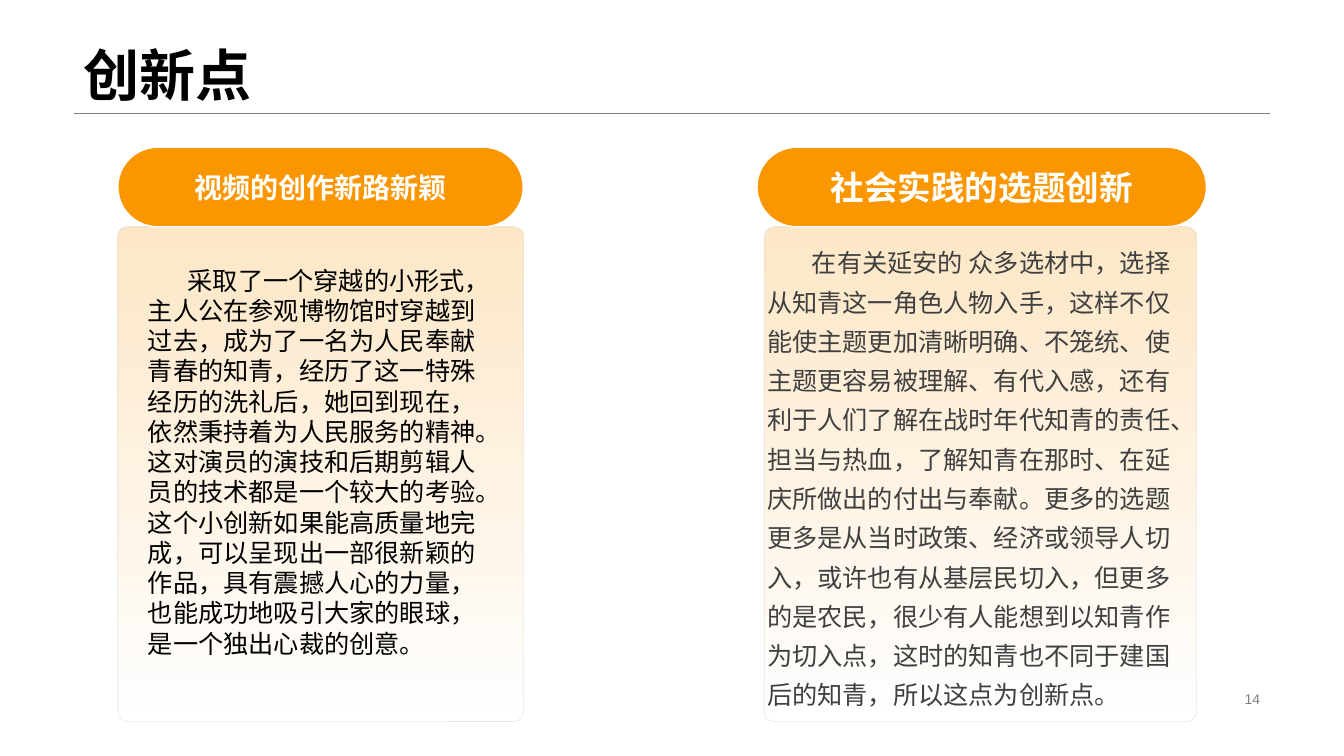
from lxml import etree
from pptx import Presentation
from pptx.dml.color import RGBColor
from pptx.enum.shapes import MSO_CONNECTOR, MSO_SHAPE
from pptx.enum.text import MSO_ANCHOR, PP_ALIGN
from pptx.oxml.ns import qn
from pptx.util import Pt

ROUND = MSO_SHAPE.ROUNDED_RECTANGLE
STRAIGHT = MSO_CONNECTOR.STRAIGHT
LEFT, CENTER, RIGHT = PP_ALIGN.LEFT, PP_ALIGN.CENTER, PP_ALIGN.RIGHT
TOP, MIDDLE, BOTTOM = MSO_ANCHOR.TOP, MSO_ANCHOR.MIDDLE, MSO_ANCHOR.BOTTOM

LATIN, CJK = "Arial", "Noto Sans CJK SC"
COLORS = {
    "accent": "FA9600",
    "white": "FFFFFF",
    "black": "000000",
    "body": "404040",
    "gray": "808080",
    "border": "D9D9D9",
}

# Shared vertical layout of the two columns
HEADER_TOP, HEADER_H = 105.2, 56.8
PANEL_TOP, PANEL_H = 162, 353.5

VIDEO_TEXT = (
    "采取了一个穿越的小形式，主人公在参观博物馆时穿越到过去，成为了一名为人民奉献青春的知青，"
    "经历了这一特殊经历的洗礼后，她回到现在，依然秉持着为人民服务的精神。"
    "这对演员的演技和后期剪辑人员的技术都是一个较大的考验。"
    "这个小创新如果能高质量地完成，可以呈现出一部很新颖的作品，具有震撼人心的力量，"
    "也能成功地吸引大家的眼球，是一个独出心裁的创意。"
)
TOPIC_TEXT = (
    "在有关延安的 众多选材中，选择从知青这一角色人物入手，这样不仅能使主题更加清晰明确、不笼统、"
    "使主题更容易被理解、有代入感，还有利于人们了解在战时年代知青的责任、担当与热血，"
    "了解知青在那时、在延庆所做出的付出与奉献。"
    "更多的选题更多是从当时政策、经济或领导人切入，或许也有从基层民切入，但更多的是农民，"
    "很少有人能想到以知青作为切入点，这时的知青也不同于建国后的知青，所以这点为创新点。"
)


def rgb(name):
    return RGBColor.from_string(COLORS[name])


def write(sp, text, size, color, font=LATIN, bold=False, align=LEFT, anchor=TOP,
          wrap=True, spacing=None, indent=0, inset=None):
    tf = sp.text_frame
    tf.word_wrap = wrap
    tf.vertical_anchor = anchor
    if inset is not None:
        tf.margin_left = tf.margin_right = tf.margin_top = tf.margin_bottom = Pt(inset)
    p = tf.paragraphs[0]
    p.alignment = align
    if spacing:
        p.line_spacing = spacing
    if indent:
        p._p.get_or_add_pPr().set("indent", str(Pt(indent)))
    r = p.add_run()
    r.text = text
    r.font.size = Pt(size)
    r.font.bold = bold
    r.font.name = font
    r.font.color.rgb = rgb(color)
    etree.SubElement(r._r.get_or_add_rPr(), qn("a:ea"), typeface=CJK)


def add_text(s, x, y, w, h, text, size, color, **style):
    sp = s.shapes.add_textbox(Pt(x), Pt(y), Pt(w), Pt(h))
    write(sp, text, size, color, **style)


def add_round(s, x, y, w, h, radius, line, line_width):
    sp = s.shapes.add_shape(ROUND, Pt(x), Pt(y), Pt(w), Pt(h))
    sp.adjustments[0] = radius
    sp.shadow.inherit = False
    sp.line.color.rgb = rgb(line)
    sp.line.width = Pt(line_width)
    return sp


def add_panel(s, x, w):
    """Body panel whose accent tint fades out downwards."""
    sp = add_round(s, x, PANEL_TOP, w, PANEL_H, 0.024, "border", 0.25)
    sp.fill.gradient()
    sp.fill.gradient_angle = 270
    for stop, opacity in zip(sp.fill.gradient_stops, (23, 0)):
        stop.color.rgb = rgb("accent")
    for clr, opacity in zip(sp._element.spPr.iterfind(".//" + qn("a:gs") + "/*"), (23, 0)):
        etree.SubElement(clr, qn("a:alpha"), val=str(opacity * 1000))
    return sp


def add_header(s, x, w, text, size):
    sp = add_round(s, x, HEADER_TOP, w, HEADER_H, 0.5, "white", 1)
    sp.fill.solid()
    sp.fill.fore_color.rgb = rgb("accent")
    write(sp, text, size, "white", bold=True, align=CENTER, anchor=MIDDLE, wrap=False)


def add_rule(s, x1, x2, y):
    line = s.shapes.add_connector(STRAIGHT, Pt(x1), Pt(y), Pt(x2), Pt(y))
    line.line.color.rgb = rgb("gray")
    line.line.width = Pt(0.25)
    etree.SubElement(line._element.spPr, qn("a:effectLst"))


def main():
    prs = Presentation()
    prs.slide_width, prs.slide_height = Pt(960), Pt(540)
    s = prs.slides.add_slide(prs.slide_layouts[6])

    # Title, rule and page number
    add_rule(s, 52.6, 907.2, 81)
    add_text(s, 52.6, 0, 854.6, 81, "创新点", 40, "black",
             bold=True, anchor=BOTTOM, spacing=0.9)
    add_text(s, 678.2, 491, 229, 16.6, "14", 10, "gray", align=RIGHT, anchor=MIDDLE)

    # Left column: the video
    add_panel(s, 84.2, 289.6)
    add_header(s, 84.2, 289.6, "视频的创作新路新颖", 20)
    add_text(s, 98.6, 185.8, 261.4, 290.9, VIDEO_TEXT, 18, "black",
             font=CJK, indent=28.5)

    # Right column: the topic
    panel = add_panel(s, 545.8, 308.9)
    write(panel, TOPIC_TEXT, 18, "body", font=CJK, anchor=MIDDLE,
          spacing=1.3, indent=32, inset=0)
    add_header(s, 540.7, 321.1, "社会实践的选题创新", 24)

    prs.save("out.pptx")


if __name__ == "__main__":
    main()
